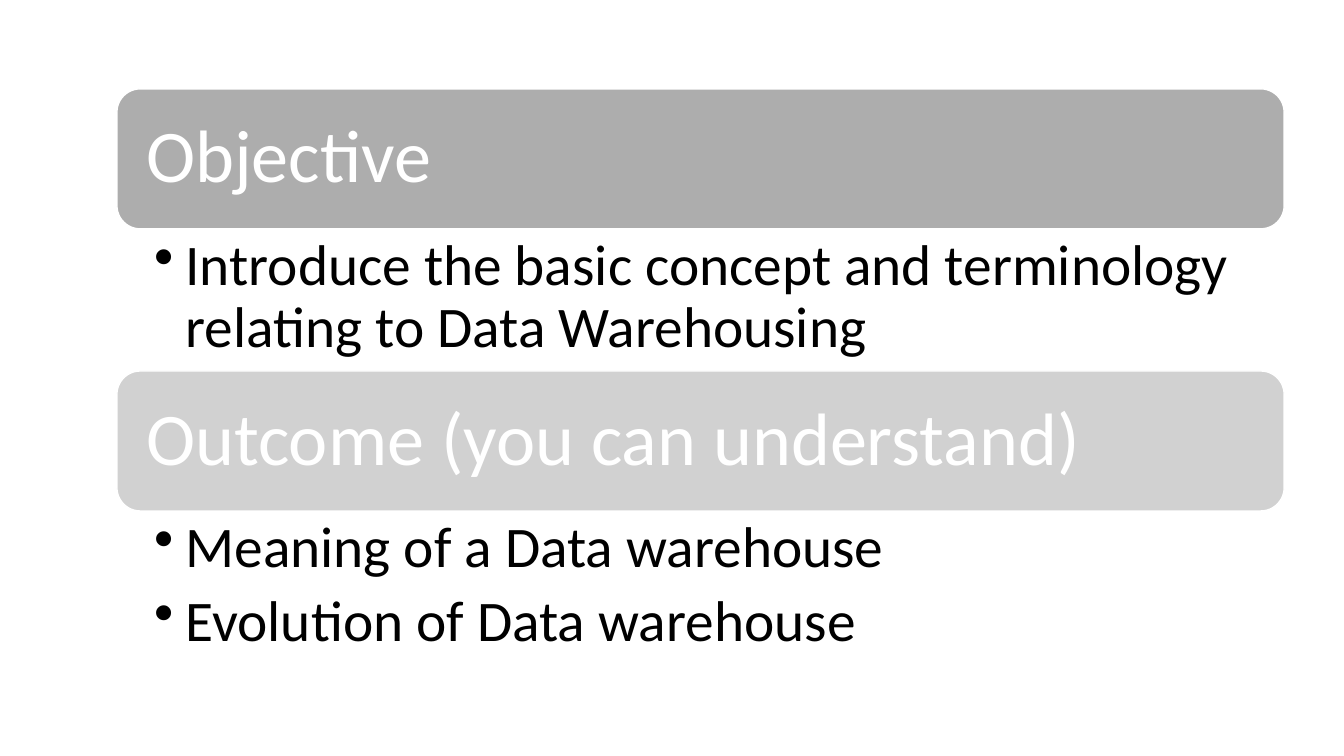
import pptx
import pptx.dml.color
import pptx.enum.shapes
import pptx.enum.text
import pptx.oxml.ns
import pptx.util
from lxml import etree

Pt = pptx.util.Pt
GREY = pptx.dml.color.RGBColor(0xA5, 0xA5, 0xA5)
WHITE = pptx.dml.color.RGBColor(0xFF, 0xFF, 0xFF)
BLACK = pptx.dml.color.RGBColor(0x00, 0x00, 0x00)

LEFT, TOP, WIDTH = 83.5, 63.5, 833.75
BAR_HEIGHT = 100

# Heading, opacity of its bar in percent, bullets, height of the bullet box
SECTIONS = [
    ("Objective", 90,
     ["Introduce the basic concept and terminology relating to Data Warehousing"],
     101.5),
    ("Outcome (you can understand)", 50,
     ["Meaning of a Data warehouse", "Evolution of Data warehouse"],
     112.5),
]


class Builder:
    """Holds the text style and the current slide."""
    font_name = "Calibri"
    heading_size = 53
    bullet_size = 41
    bullet_indent = 22.5

    def __init__(self, page):
        self.page = page

    def set_frame(self, frame, left, top, right, bottom, anchor):
        frame.word_wrap = True
        frame.vertical_anchor = anchor
        frame.margin_left, frame.margin_top = Pt(left), Pt(top)
        frame.margin_right, frame.margin_bottom = Pt(right), Pt(bottom)

    def style(self, para, size, color):
        para.alignment = pptx.enum.text.PP_ALIGN.LEFT
        para.line_spacing = 0.9
        para.font.name = self.font_name
        para.font.size = Pt(size)
        para.font.color.rgb = color

    def bar(self, top, heading, opacity):
        bar = self.page.shapes.add_shape(
            pptx.enum.shapes.MSO_SHAPE.ROUNDED_RECTANGLE,
            Pt(LEFT), Pt(top), Pt(WIDTH), Pt(BAR_HEIGHT))
        bar.shadow.inherit = False
        bar.fill.solid()
        bar.fill.fore_color.rgb = GREY
        color = bar.fill._xPr.find(".//" + pptx.oxml.ns.qn("a:srgbClr"))
        etree.SubElement(color, pptx.oxml.ns.qn("a:alpha"), val=str(opacity * 1000))
        bar.line.color.rgb = WHITE
        bar.line.width = Pt(1)
        self.set_frame(bar.text_frame, 16, 16, 16, 16,
                       pptx.enum.text.MSO_ANCHOR.MIDDLE)
        para = bar.text_frame.paragraphs[0]
        para.text = heading
        self.style(para, self.heading_size, WHITE)

    def bullets(self, top, height, lines):
        box = self.page.shapes.add_textbox(Pt(LEFT), Pt(top), Pt(WIDTH), Pt(height))
        frame = box.text_frame
        self.set_frame(frame, 26.5, 5, 29.5, 5, pptx.enum.text.MSO_ANCHOR.TOP)
        frame.text = "\n".join(lines)
        for para in frame.paragraphs:
            para.level = 1
            para.space_after = Pt(8.5)
            properties = para._p.get_or_add_pPr()
            properties.set("marL", str(Pt(self.bullet_indent)))
            properties.set("indent", str(-Pt(self.bullet_indent)))
            etree.SubElement(properties, pptx.oxml.ns.qn("a:buChar"), char="•")
            self.style(para, self.bullet_size, BLACK)


def main():
    deck = pptx.Presentation()
    deck.slide_width, deck.slide_height = Pt(960), Pt(540)
    builder = Builder(deck.slides.add_slide(deck.slide_layouts[6]))

    # Each section: a heading bar with its bullets directly below
    top = TOP
    for heading, opacity, lines, height in SECTIONS:
        builder.bar(top, heading, opacity)
        builder.bullets(top + BAR_HEIGHT, height, lines)
        top += BAR_HEIGHT + height

    deck.save("out.pptx")


if __name__ == "__main__":
    main()
